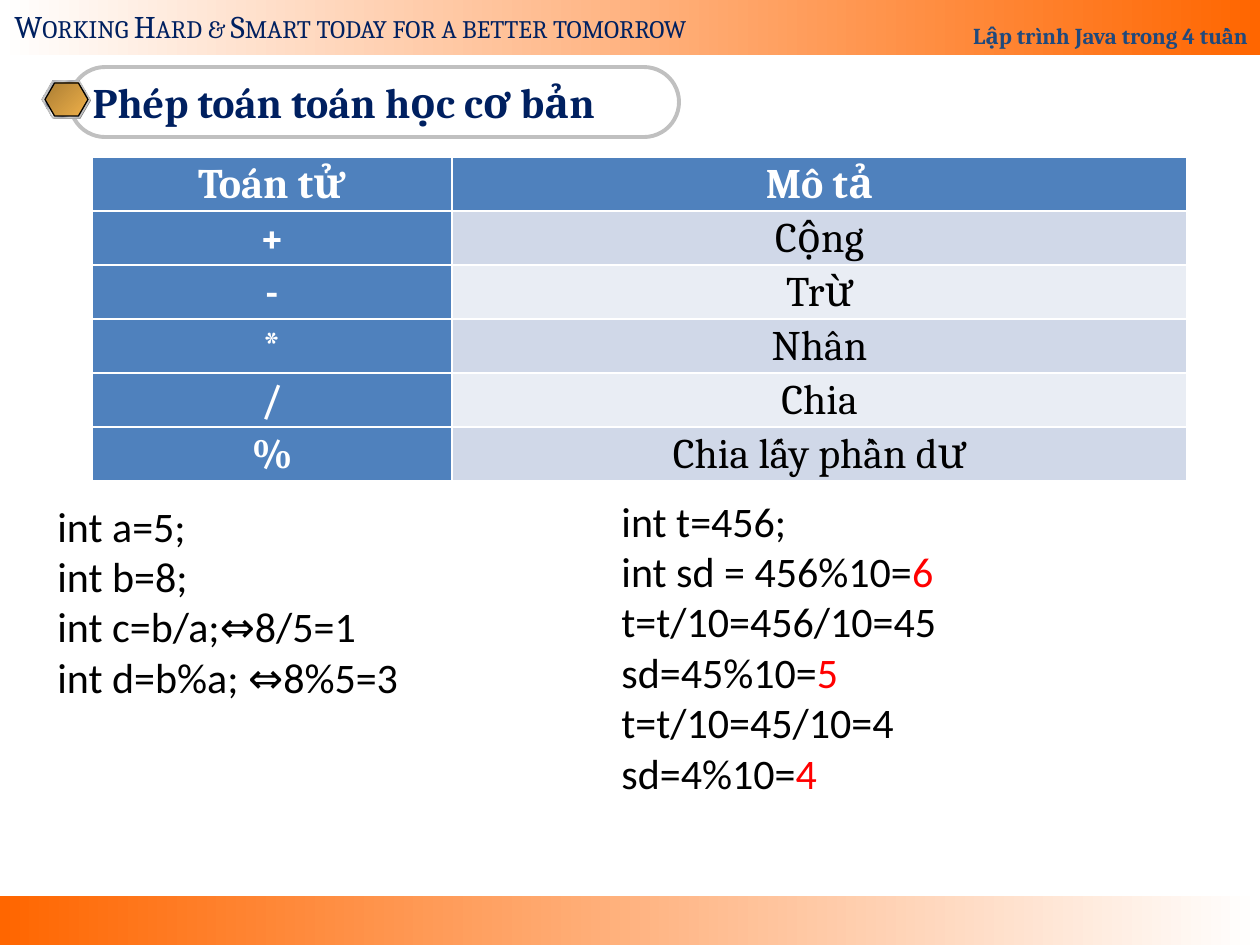
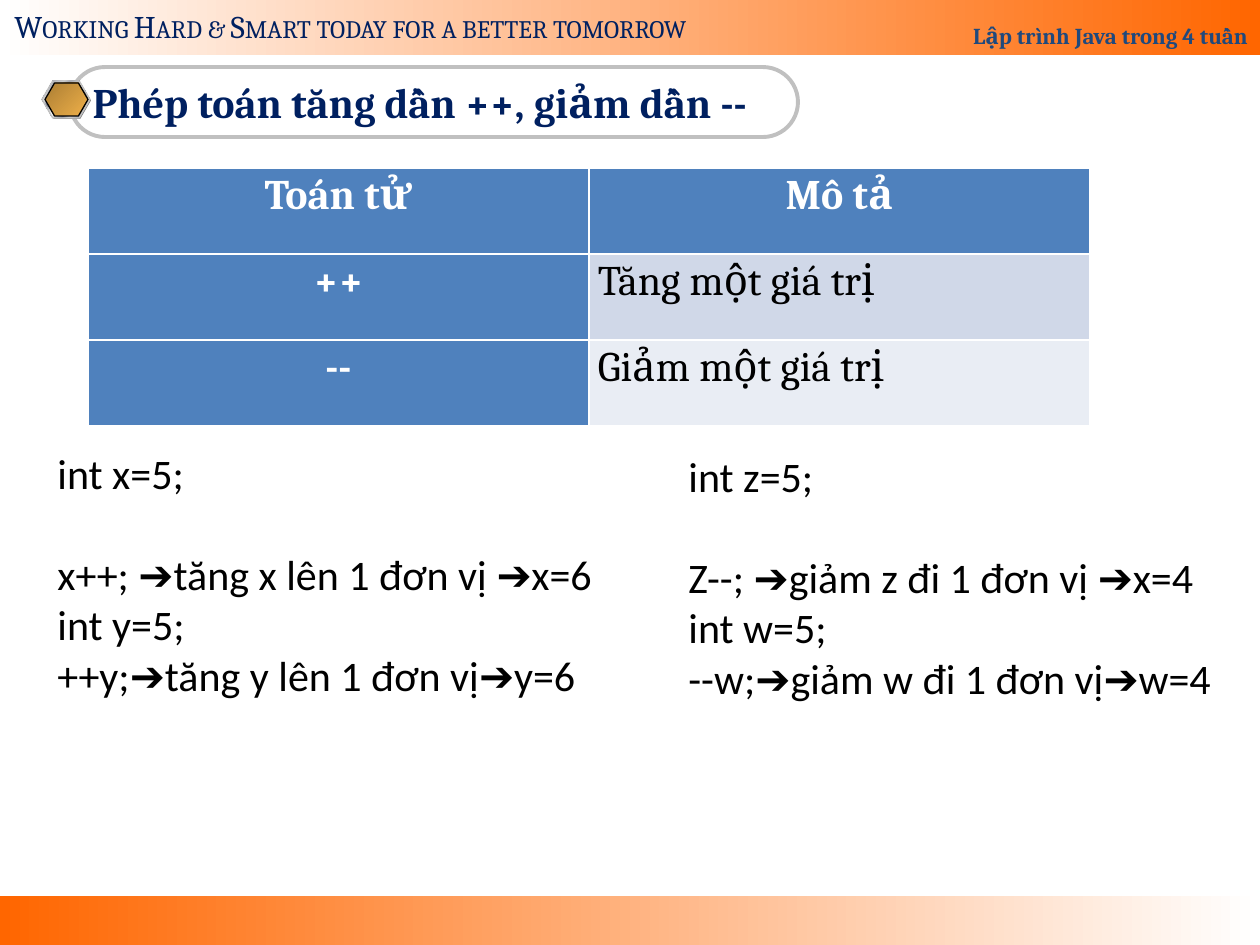
from copy import deepcopy

from pptx import Presentation
from pptx.dml.color import RGBColor
from pptx.enum.shapes import MSO_SHAPE
from pptx.enum.text import MSO_ANCHOR, PP_ALIGN
from pptx.oxml.ns import qn
from pptx.util import Emu, Pt

PX = 914400 / 126  # EMU in one px

WHITE = RGBColor(0xFF, 0xFF, 0xFF)
BLACK = RGBColor(0x00, 0x00, 0x00)
RED = RGBColor(0xFF, 0x00, 0x00)
ORANGE = RGBColor(0xFF, 0x66, 0x00)
NAVY = RGBColor(0x00, 0x20, 0x60)
SLATE_BLUE = RGBColor(0x1F, 0x49, 0x7D)
HEADER_BLUE = RGBColor(0x4F, 0x81, 0xBD)
ROW_TINTS = [RGBColor(0xD0, 0xD8, 0xE8), RGBColor(0xE9, 0xED, 0xF4)]
SILVER = RGBColor(0xC0, 0xC0, 0xC0)
GREY = RGBColor(0x80, 0x80, 0x80)
STEEL = RGBColor(0x7D, 0x84, 0x96)
PALE_GREY = RGBColor(0xE6, 0xE6, 0xE6)
BRONZE = RGBColor(0xAB, 0x7E, 0x34)
GOLD = RGBColor(0xEF, 0xB0, 0x49)

METAL = [(0, PALE_GREY), (7, STEEL), (26, PALE_GREY), (34, STEEL), (46, PALE_GREY),
         (50, WHITE), (54, PALE_GREY), (66, STEEL), (74, PALE_GREY), (93, STEEL),
         (100, PALE_GREY)]

# Hexagon layers of the title badge: box, fill, line colour
BADGE_LAYERS = [
    ((43, 82, 48, 37), GREY, None),
    ((42, 81, 48, 37), METAL, SILVER),
    ((45, 83, 43, 33), [(0, BRONZE), (100, GOLD)], BLACK),
]

# Code blocks: left, top, width, lines; a tuple line ends in a highlighted digit
SLIDES = [
    {
        "title": "Phép toán toán học cơ bản",
        "pill_width": 609,
        "table_at": (92, 157),
        "columns": (360, 735),
        "row_height": 54,
        "cell_margin": 10,
        "description_align": PP_ALIGN.CENTER,
        "rows": [("Toán tử", "Mô tả"), ("+", "Cộng"), ("-", "Trừ"), ("*", "Nhân"),
                 ("/", "Chia"), ("%", "Chia lấy phần dư")],
        "code": [
            (45, 494, 390, ["int a=5;", "int b=8;", "int c=b/a;⇔8/5=1",
                            "int d=b%a; ⇔8%5=3"]),
            (609, 489, 360, ["int t=456;", ("int sd = 456%10=", "6"),
                             "t=t/10=456/10=45", ("sd=45%10=", "5"),
                             "t=t/10=45/10=4", ("sd=4%10=", "4")]),
        ],
        "gap_after_first_line": 0,
    },
    {
        "title": "Phép toán tăng dần ++, giảm dần --",
        "pill_width": 728,
        "table_at": (88, 168),
        "columns": (501, 501),
        "row_height": 86,
        "cell_margin": 9,
        "description_align": PP_ALIGN.JUSTIFY,
        "rows": [("Toán tử", "Mô tả"), ("++", "Tăng một giá trị"),
                 ("--", "Giảm một giá trị")],
        "code": [
            (45, 441, 585, ["int x=5;", "x++; ➔tăng x lên 1 đơn vị ➔x=6",
                            "int y=5;", "++y;➔tăng y lên 1 đơn vị➔y=6"]),
            (676, 444, 576, ["int z=5;", "Z--; ➔giảm z đi 1 đơn vị ➔x=4",
                             "int w=5;", "--w;➔giảm w đi 1 đơn vị➔w=4"]),
        ],
        "gap_after_first_line": 29,
    },
]


def add_shape(shapes, kind, box, fill=None, angle=0, line=None, line_width=0.75):
    """Add a preset shape; fill is None, a colour or a list of gradient stops."""
    shape = shapes.add_shape(kind, *[Emu(round(value * PX)) for value in box])
    shape.shadow.inherit = False
    if fill is None:
        shape.fill.background()
    elif isinstance(fill, RGBColor):
        shape.fill.solid()
        shape.fill.fore_color.rgb = fill
    else:
        shape.fill.gradient()
        shape.fill.gradient_angle = angle
        stop_list = shape._element.spPr.find(".//" + qn("a:gsLst"))
        for _ in fill[2:]:
            stop_list.append(deepcopy(stop_list[0]))
        for stop, (position, color) in zip(shape.fill.gradient_stops, fill):
            stop.position = position / 100
            stop.color.rgb = color
    if line is None:
        shape.line.fill.background()
    else:
        shape.line.color.rgb = line
        shape.line.width = Pt(line_width)
    return shape


def write_text(frame, lines, font="Cambria", size=24, color=BLACK, bold=False,
               align=PP_ALIGN.LEFT, spacing=None, small_caps=False):
    """Write one paragraph per line; the second part of a tuple line is red."""
    frame.word_wrap = True
    for index, line in enumerate(lines):
        paragraph = frame.add_paragraph() if index else frame.paragraphs[0]
        paragraph.alignment = align
        if spacing:
            paragraph.line_spacing = spacing
        parts = (line,) if isinstance(line, str) else line
        for part, part_color in zip(parts, (color, RED)):
            run = paragraph.add_run()
            run.text = part
            run.font.name = font
            run.font.size = Pt(size)
            run.font.bold = bold
            run.font.color.rgb = part_color
            if small_caps:
                run.font._element.set("cap", "small")


presentation = Presentation()
presentation.slide_width = Emu(round(1260 * PX))
presentation.slide_height = Emu(round(945 * PX))

for content in SLIDES:
    slide = presentation.slides.add_slide(presentation.slide_layouts[6])
    shapes = slide.shapes

    # Footer and header bands
    add_shape(shapes, MSO_SHAPE.RECTANGLE, (0, 896, 1260, 49), [(0, ORANGE), (100, WHITE)])
    header = add_shape(shapes, MSO_SHAPE.RECTANGLE, (0, 0, 1260, 55),
                       [(0, WHITE), (100, ORANGE)])
    header.text_frame.vertical_anchor = MSO_ANCHOR.BOTTOM
    write_text(header.text_frame, ["Lập trình Java trong 4 tuần"], size=13,
               color=SLATE_BLUE, bold=True, align=PP_ALIGN.RIGHT, spacing=1.8)
    motto = shapes.add_textbox(*[Emu(round(value * PX)) for value in (2, 1, 744, 51)])
    write_text(motto.text_frame, ["Working Hard & Smart today for a better tomorrow"],
               size=18, color=NAVY, small_caps=True)

    # Title pill with its hexagon badge
    title_group = shapes.add_group_shape()
    pill = add_shape(title_group.shapes, MSO_SHAPE.ROUNDED_RECTANGLE,
                     (70, 67, content["pill_width"], 70), line=SILVER, line_width=2.25)
    pill.adjustments[0] = 0.5
    pill.text_frame.vertical_anchor = MSO_ANCHOR.MIDDLE
    write_text(pill.text_frame, [content["title"]], color=NAVY, bold=True)
    for box, fill, line in BADGE_LAYERS:
        hexagon = add_shape(title_group.shapes, MSO_SHAPE.HEXAGON, box, fill, 315, line)
        hexagon.adjustments[0] = 0.29

    # Operator table
    rows, columns = content["rows"], content["columns"]
    left, top = content["table_at"]
    table_box = (left, top, sum(columns), len(rows) * content["row_height"])
    table = shapes.add_table(len(rows), len(columns),
                             *[Emu(round(value * PX)) for value in table_box]).table
    table.first_col = True
    for column, width in zip(table.columns, columns):
        column.width = Emu(round(width * PX))
    for row_index, row in enumerate(rows):
        table.rows[row_index].height = Emu(round(content["row_height"] * PX))
        for column_index, text in enumerate(row):
            cell = table.cell(row_index, column_index)
            is_heading = row_index == 0 or column_index == 0
            cell.margin_left = cell.margin_right = Emu(round(content["cell_margin"] * PX))
            cell.margin_top = cell.margin_bottom = 0
            cell.fill.solid()
            cell.fill.fore_color.rgb = HEADER_BLUE if is_heading else ROW_TINTS[(row_index - 1) % 2]
            write_text(cell.text_frame, [text], color=WHITE if is_heading else BLACK,
                       bold=is_heading, spacing=1.07,
                       align=PP_ALIGN.CENTER if is_heading else content["description_align"])

    # Code examples
    for left, top, width, lines in content["code"]:
        code_box = (left, top, width, 12 + 50 * len(lines))
        code = shapes.add_textbox(*[Emu(round(value * PX)) for value in code_box])
        write_text(code.text_frame, lines, font="Calibri")
        if content["gap_after_first_line"]:
            code.text_frame.paragraphs[1].space_before = Pt(content["gap_after_first_line"])

presentation.save("out.pptx")
